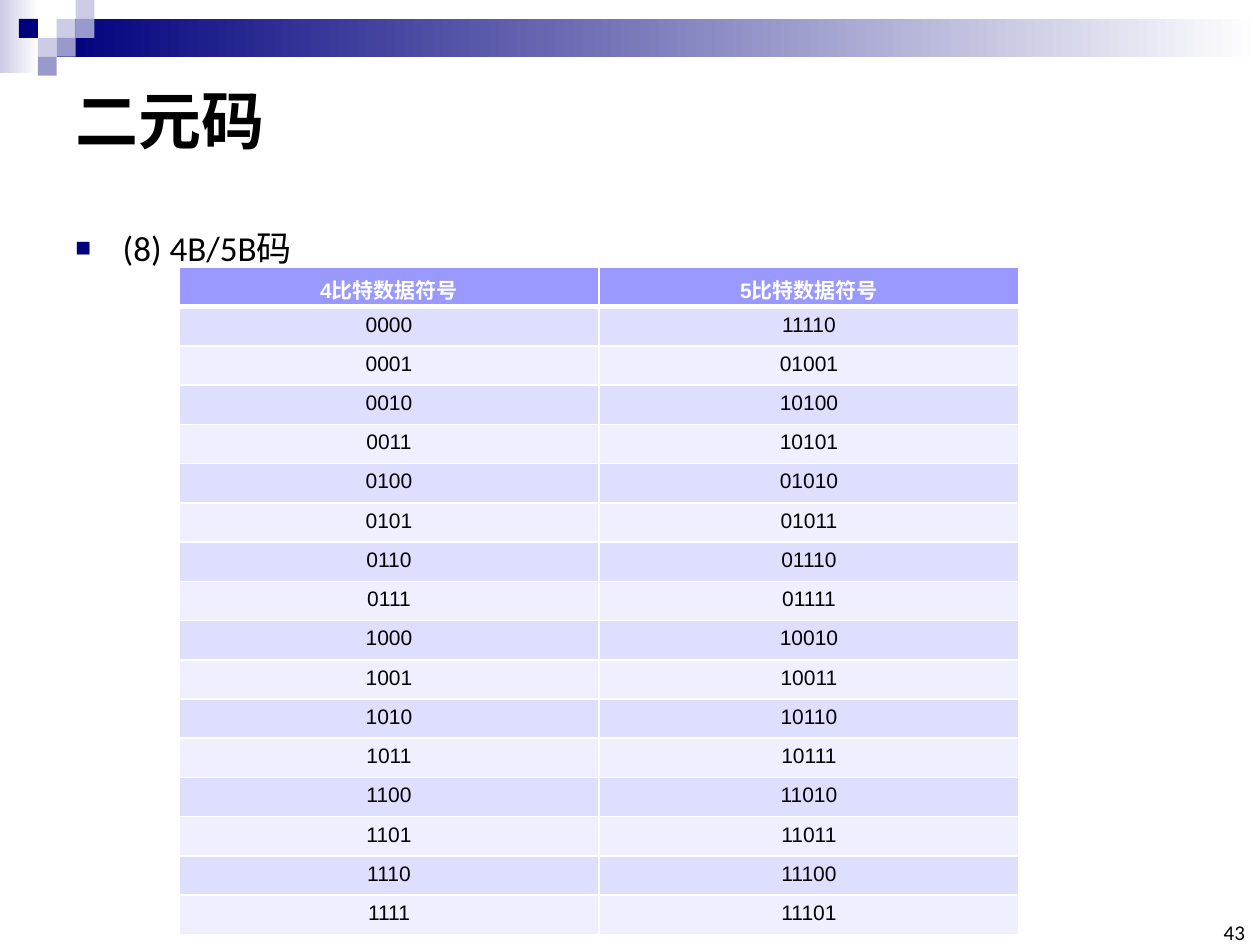
from pptx import Presentation
from pptx.dml.color import RGBColor
from pptx.enum.shapes import MSO_SHAPE
from pptx.enum.text import MSO_ANCHOR, PP_ALIGN
from pptx.oxml.ns import qn
from pptx.util import Pt
from lxml.etree import SubElement

BLACK, WHITE, NAVY = "000000", "FFFFFF", "00007D"
LAVENDER, LILAC = "9999CC", "CCCCE6"
HEADER_FILL, BAND_FILLS = "9999FF", ("DEDEFF", "EFEFFF")
CJK_FONT = "Noto Sans CJK SC"

BLOCK = 10.8
# column, row and fill of each small square, in units of BLOCK
SQUARES = [
    (3, 1, LILAC), (4, 0, LILAC), (4, 1, LAVENDER), (2, 2, LILAC),
    (1, 1, NAVY), (3, 2, LAVENDER), (2, 3, LAVENDER),
]
FIVE_BIT_CODES = [
    "11110", "01001", "10100", "10101", "01010", "01011", "01110", "01111",
    "10010", "10011", "10110", "10111", "11010", "11011", "11100", "11101",
]


def color(hex_text):
    return RGBColor.from_string(hex_text)


class SlideBuilder:
    def __init__(self, slide):
        self.slide = slide

    def style(self, paragraph, size, font_name, fill=BLACK, bold=False,
              align=PP_ALIGN.LEFT):
        paragraph.alignment = align
        font = paragraph.font
        font.size, font.name, font.bold = Pt(size), font_name, bold
        font.color.rgb = color(fill)
        properties = paragraph._p.pPr.find(qn("a:defRPr"))
        SubElement(properties, qn("a:ea"), typeface=CJK_FONT)

    def rectangle(self, left, top, width, height, fill, fade_to=None):
        """Add a borderless rectangle, fading left to right if fade_to is set."""
        shape = self.slide.shapes.add_shape(
            MSO_SHAPE.RECTANGLE, Pt(left), Pt(top), Pt(width), Pt(height))
        shape.shadow.inherit = False
        shape.line.fill.background()
        if fade_to:
            shape.fill.gradient()
            shape.fill.gradient_angle = 0
            for stop, stop_color in zip(shape.fill.gradient_stops, (fill, fade_to)):
                stop.color.rgb = color(stop_color)
        else:
            shape.fill.solid()
            shape.fill.fore_color.rgb = color(fill)

    def text(self, left, top, width, height, text, size, font_name,
             anchor=MSO_ANCHOR.TOP, inset=None, bullet=False, line_spacing=None,
             **style):
        box = self.slide.shapes.add_textbox(Pt(left), Pt(top), Pt(width), Pt(height))
        frame = box.text_frame
        frame.word_wrap = True
        frame.vertical_anchor = anchor
        if inset is not None:
            frame.margin_left = frame.margin_right = Pt(inset)
            frame.margin_top = frame.margin_bottom = Pt(inset)
        paragraph = frame.paragraphs[0]
        paragraph.text = text
        if line_spacing:
            paragraph.line_spacing = line_spacing
        if bullet:
            self.square_bullet(paragraph)
        self.style(paragraph, size, font_name, **style)

    def square_bullet(self, paragraph, indent=27):
        properties = paragraph._p.get_or_add_pPr()
        properties.set("marL", str(Pt(indent)))
        properties.set("indent", str(-Pt(indent)))
        bullet_color = SubElement(properties, qn("a:buClr"))
        SubElement(bullet_color, qn("a:srgbClr"), val=NAVY)
        SubElement(properties, qn("a:buSzPct"), val="75000")
        SubElement(properties, qn("a:buFont"), typeface="Arial")
        SubElement(properties, qn("a:buChar"), char="■")

    def cell_borders(self, cell, top, bottom):
        properties = cell._tc.get_or_add_tcPr()
        for side, width in (("L", 1), ("R", 1), ("T", top), ("B", bottom)):
            line = SubElement(properties, qn(f"a:ln{side}"), w=str(Pt(width)))
            fill = SubElement(line, qn("a:solidFill"))
            SubElement(fill, qn("a:srgbClr"), val=WHITE)

    def table(self, left, top, width, row_height, rows):
        """Add a banded table whose first row is the header."""
        table = self.slide.shapes.add_table(
            len(rows), len(rows[0]), Pt(left), Pt(top), Pt(width),
            Pt(row_height * len(rows))).table
        for row_index, values in enumerate(rows):
            is_header = row_index == 0
            fill = HEADER_FILL if is_header else BAND_FILLS[(row_index - 1) % 2]
            for column_index, value in enumerate(values):
                cell = table.cell(row_index, column_index)
                cell.text = value
                self.style(cell.text_frame.paragraphs[0], 12, "Arial",
                           fill=WHITE if is_header else BLACK,
                           bold=is_header, align=PP_ALIGN.CENTER)
                self.cell_borders(cell, top=3 if row_index == 1 else 1,
                                  bottom=3 if is_header else 1)
                cell.fill.solid()
                cell.fill.fore_color.rgb = color(fill)


def main():
    presentation = Presentation()
    presentation.slide_width, presentation.slide_height = Pt(720), Pt(540)
    builder = SlideBuilder(
        presentation.slides.add_slide(presentation.slide_layouts[6]))

    builder.rectangle(0, 0, 22, 41.8, LILAC, fade_to=WHITE)
    builder.rectangle(3 * BLOCK, BLOCK, 720 - 3 * BLOCK, 2 * BLOCK, NAVY,
                      fade_to=WHITE)
    for column, row, fill in SQUARES:
        builder.rectangle(column * BLOCK, row * BLOCK, BLOCK, BLOCK, fill)

    builder.text(36, 36, 648, 64, "二元码", 36, CJK_FONT,
                 anchor=MSO_ANCHOR.MIDDLE, bold=True)
    builder.text(36, 113.8, 696, 45.4, "(8) 4B/5B码", 20, "Calibri",
                 bullet=True, line_spacing=1.5)
    builder.text(694.8, 527.8, 16.6, 12.2, "43", 12, "Calibri",
                 anchor=MSO_ANCHOR.BOTTOM, inset=0, align=PP_ALIGN.RIGHT)

    rows = [("4比特数据符号", "5比特数据符号")]
    rows += [(f"{number:04b}", code) for number, code in enumerate(FIVE_BIT_CODES)]
    builder.table(102.3, 152.8, 480, 22.45, rows)

    presentation.save("out.pptx")


if __name__ == "__main__":
    main()
